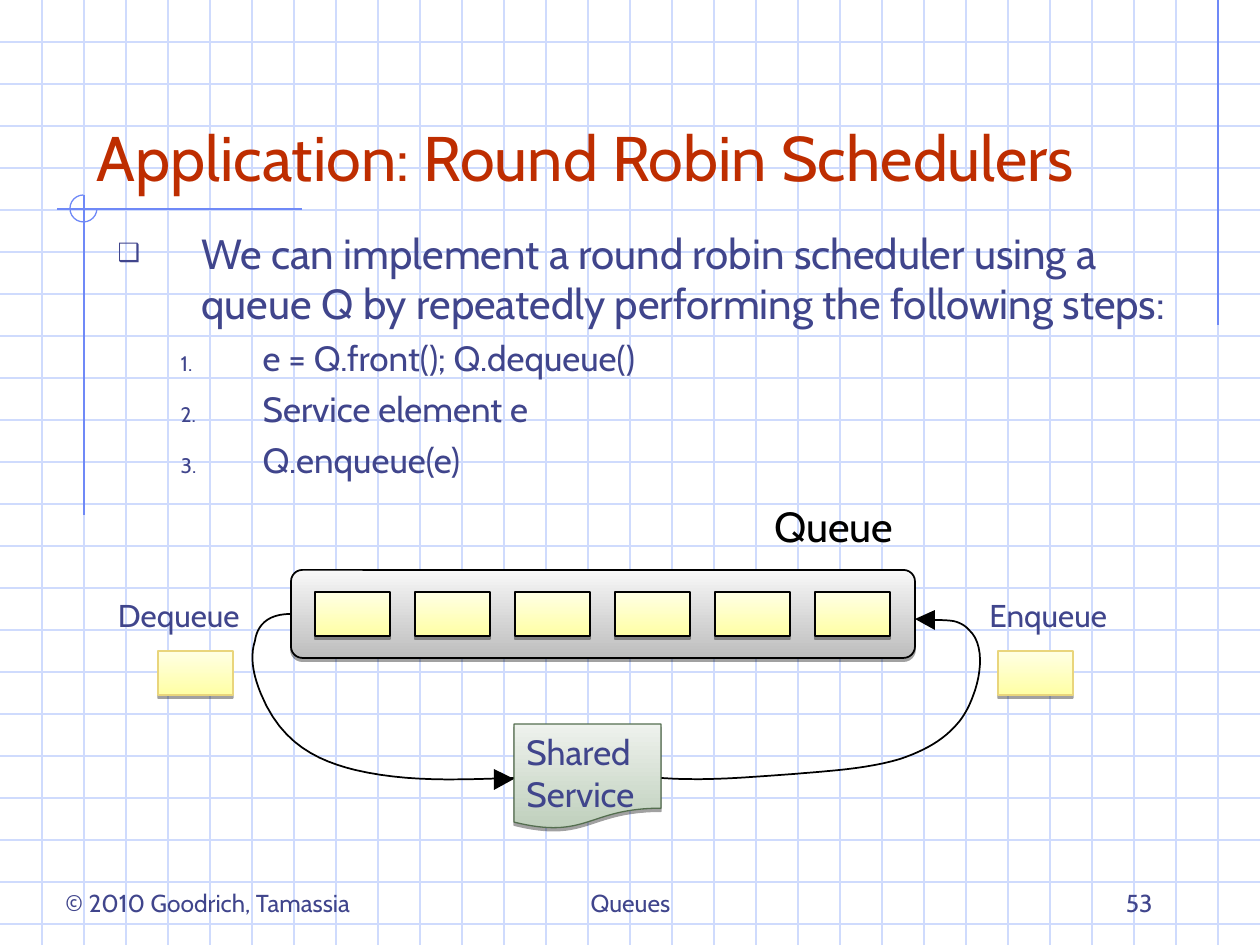
import pptx
import pptx.util
from lxml import etree
from pptx.dml.color import RGBColor
from pptx.enum.shapes import MSO_CONNECTOR, MSO_SHAPE
from pptx.enum.text import MSO_ANCHOR, MSO_AUTO_SIZE, PP_ALIGN
from pptx.oxml.ns import qn

# Content
TITLE = "Application: Round Robin Schedulers"
INTRO = ("We can implement a round robin scheduler using a queue Q "
         "by repeatedly performing the following steps:")
STEPS = ["e = Q.front(); Q.dequeue()", "Service element e", "Q.enqueue(e)"]
SERVICE = ["Shared", "Service"]

# Colours
GRID = RGBColor(0xCF, 0xDB, 0xFD)
ACCENT = RGBColor(0x6F, 0x89, 0xF7)
INK = RGBColor(0x40, 0x45, 0x8C)
RED = RGBColor(0xBE, 0x2D, 0x00)
BLACK = RGBColor(0, 0, 0)
GREYS = RGBColor(0xBD, 0xBD, 0xBD), RGBColor(0xF8, 0xF8, 0xF8)
YELLOWS = RGBColor(0xFF, 0xFF, 0xA5), RGBColor(0xFF, 0xFF, 0xE4)
YELLOW_EDGE = RGBColor(0xE9, 0xD5, 0x7C)
GREENS = RGBColor(0xBF, 0xCF, 0xBC), RGBColor(0xEE, 0xF2, 0xED)
GREEN_EDGE = RGBColor(0x54, 0x6E, 0x4F)

LEFT, CENTER, RIGHT = PP_ALIGN.LEFT, PP_ALIGN.CENTER, PP_ALIGN.RIGHT
TOP, BOTTOM = MSO_ANCHOR.TOP, MSO_ANCHOR.BOTTOM

# Layout in px
PX = 914400 / 126
WIDTH, HEIGHT, GRID_STEP = 1260, 945, 42
ITEM_SIZE = 75, 44
ITEM_COUNT, ITEM_LEFT, ITEM_TOP, ITEM_PITCH = 6, 315, 592, 100

# text, box, size, colour, alignment, anchor
LABELS = [
    ("Queues", (431, 861, 399, 63), 14, INK, CENTER, BOTTOM),
    ("53", (903, 861, 262, 63), 14, INK, RIGHT, BOTTOM),
    ("© 2010 Goodrich, Tamassia", (53, 861, 357, 63), 14, INK, LEFT, BOTTOM),
    ("Queue", (762, 494, 158, 63), 24, BLACK, LEFT, TOP),
    ("Enqueue", (977, 590, 262, 50), 18, INK, LEFT, TOP),
    ("Dequeue", (21, 590, 231, 50), 18, INK, RIGHT, TOP),
]
FRAME_LINES = [(1218, 0, 1218, 325), (302, 209, 57, 209), (84, 195, 84, 515)]

# Bezier points: a start, then three points for each segment
DEQUEUE_PATH = [
    (291, 614), (266, 614), (257, 627), (255, 641), (249, 660), (255, 679), (261, 694),
    (282, 745), (319, 761), (355, 770), (406, 782), (457, 780), (514, 778)]
ENQUEUE_PATH = [
    (661, 778), (677, 779), (680, 779), (683, 779), (717, 780), (752, 777), (794, 774),
    (828, 771), (867, 769), (900, 759), (924, 751), (944, 740), (958, 723),
    (964, 716), (969, 707), (973, 696), (982, 673), (984, 643), (969, 630),
    (965, 625), (958, 622), (953, 621), (945, 620), (939, 620), (929, 620)]
ARROWHEADS = [[(494, 790), (514, 779), (494, 769)], [(935, 630), (915, 619), (935, 610)]]


def emu(*lengths):
    return [round(n * PX) for n in lengths]


def write(paragraph, text, size=14, color=INK, align=LEFT, before=0):
    paragraph.alignment = align
    paragraph.space_before = pptx.util.Pt(before)
    run = paragraph.add_run()
    run.text = text
    run.font.name = "Cabin"
    run.font.size = pptx.util.Pt(size)
    run.font.color.rgb = color


def frame_of(shape, anchor=TOP):
    frame = shape.text_frame
    frame.word_wrap = True
    frame.auto_size = MSO_AUTO_SIZE.NONE
    frame.vertical_anchor = anchor
    return frame


def place(shape, *box):
    shape.left, shape.top, shape.width, shape.height = emu(*box)


def add_bullet(paragraph, margin, indent, tag, **attributes):
    props = paragraph._p.get_or_add_pPr()
    margin, indent = emu(margin, indent)
    props.set("marL", str(margin))
    props.set("indent", str(indent))
    color = etree.SubElement(props, qn("a:buClr"))
    etree.SubElement(color, qn("a:srgbClr"), val=str(INK))
    etree.SubElement(props, qn("a:buSzPct"), val="60000")
    etree.SubElement(props, qn(tag), **attributes)


def add_line(shapes, ends, color):
    line = shapes.add_connector(MSO_CONNECTOR.STRAIGHT, *emu(*ends))
    line.line.color.rgb = color
    line.line.width = pptx.util.Pt(0.75)
    etree.SubElement(line.element.spPr, qn("a:effectLst"))


def add_block(shapes, kind, box, colors, edge, width=0.75):
    block = shapes.add_shape(kind, *emu(*box))
    block.fill.gradient()
    block.fill.gradient_angle = 90
    for stop, color in zip(block.fill.gradient_stops, colors):
        stop.color.rgb = color
    block.line.color.rgb = edge
    block.line.width = pptx.util.Pt(width)
    block.shadow.inherit = False
    effects = block.element.spPr.find(qn("a:effectLst"))
    shadow = etree.SubElement(effects, qn("a:outerShdw"), dist="22860",
                              dir="5400000", rotWithShape="0")
    color = etree.SubElement(shadow, qn("a:srgbClr"), val=str(BLACK))
    etree.SubElement(color, qn("a:alpha"), val="37000")
    return block


def add_outline(shapes, points, closed):
    points = [emu(*point) for point in points]
    builder = shapes.build_freeform(*points[0])
    builder.add_line_segments(points[1:], close=closed)
    outline = builder.convert_to_shape()
    outline.shadow.inherit = False
    return outline


def bezier(points, steps=12):
    curve = [points[0]]
    for i in range(0, len(points) - 1, 3):
        for t in (n / steps for n in range(1, steps + 1)):
            weights = (1 - t) ** 3, 3 * t * (1 - t) ** 2, 3 * t * t * (1 - t), t ** 3
            curve.append([sum(w * p[axis] for w, p in zip(weights, points[i:i + 4]))
                          for axis in (0, 1)])
    return curve


def main():
    deck = pptx.Presentation()
    deck.slide_width, deck.slide_height = emu(WIDTH, HEIGHT)
    slide = deck.slides.add_slide(deck.slide_layouts[1])
    shapes = slide.shapes
    title, body = slide.placeholders

    # Background grid and corner frame
    for y in range(GRID_STEP, HEIGHT, GRID_STEP):
        add_line(shapes, (0, y, WIDTH, y), GRID)
    for x in range(GRID_STEP, WIDTH, GRID_STEP):
        add_line(shapes, (x, 0, x, HEIGHT), GRID)
    for ends in FRAME_LINES:
        add_line(shapes, ends, ACCENT)
    arc = shapes.add_shape(MSO_SHAPE.ARC, *emu(70, 195, 27, 27))
    arc.adjustments[0], arc.adjustments[1] = 0, 162
    arc.fill.background()
    arc.line.color.rgb = ACCENT
    arc.line.width = pptx.util.Pt(0.75)
    arc.shadow.inherit = False

    # Title and steps, brought in front of the grid
    for holder in (title, body):
        shapes.element.append(holder.element)
    place(title, 84, 42, 1071, 158)
    write(frame_of(title, BOTTOM).paragraphs[0], TITLE, size=36, color=RED)
    place(body, 105, 221, 1102, 336)
    frame = frame_of(body)
    intro = frame.paragraphs[0]
    write(intro, INTRO, size=24)
    add_bullet(intro, 84, -84, "a:buChar", char="❑")
    for text in STEPS:
        step = frame.add_paragraph()
        step.level = 1
        write(step, text, size=20, before=5)
        add_bullet(step, 145, -82, "a:buAutoNum", type="arabicPeriod")

    # Queue with its items, and the items on the move
    queue = add_block(shapes, MSO_SHAPE.ROUNDED_RECTANGLE, (291, 570, 624, 88),
                      GREYS, BLACK, 1)
    queue.adjustments[0] = 0.13
    for i in range(ITEM_COUNT):
        box = (ITEM_LEFT + i * ITEM_PITCH, ITEM_TOP, *ITEM_SIZE)
        add_block(shapes, MSO_SHAPE.RECTANGLE, box, YELLOWS, BLACK, 1)
    for x in (158, 998):
        add_block(shapes, MSO_SHAPE.RECTANGLE, (x, 651, *ITEM_SIZE), YELLOWS, YELLOW_EDGE)

    # Curved arrows
    for path in (DEQUEUE_PATH, ENQUEUE_PATH):
        curve = add_outline(shapes, bezier(path), closed=False)
        curve.fill.background()
        curve.line.color.rgb = BLACK
        curve.line.width = pptx.util.Pt(1)
    for points in ARROWHEADS:
        head = add_outline(shapes, points, closed=True)
        head.fill.solid()
        head.fill.fore_color.rgb = BLACK
        head.line.fill.background()

    # Shared service
    service = add_block(shapes, MSO_SHAPE.FLOWCHART_DOCUMENT, (514, 724, 147, 105),
                        GREENS, GREEN_EDGE)
    frame = frame_of(service)
    write(frame.paragraphs[0], SERVICE[0], size=20)
    write(frame.add_paragraph(), SERVICE[1], size=20)

    # Labels and footer
    for text, box, size, color, align, anchor in LABELS:
        label = shapes.add_textbox(*emu(*box))
        write(frame_of(label, anchor).paragraphs[0], text, size=size, color=color, align=align)

    deck.save("out.pptx")


if __name__ == "__main__":
    main()
